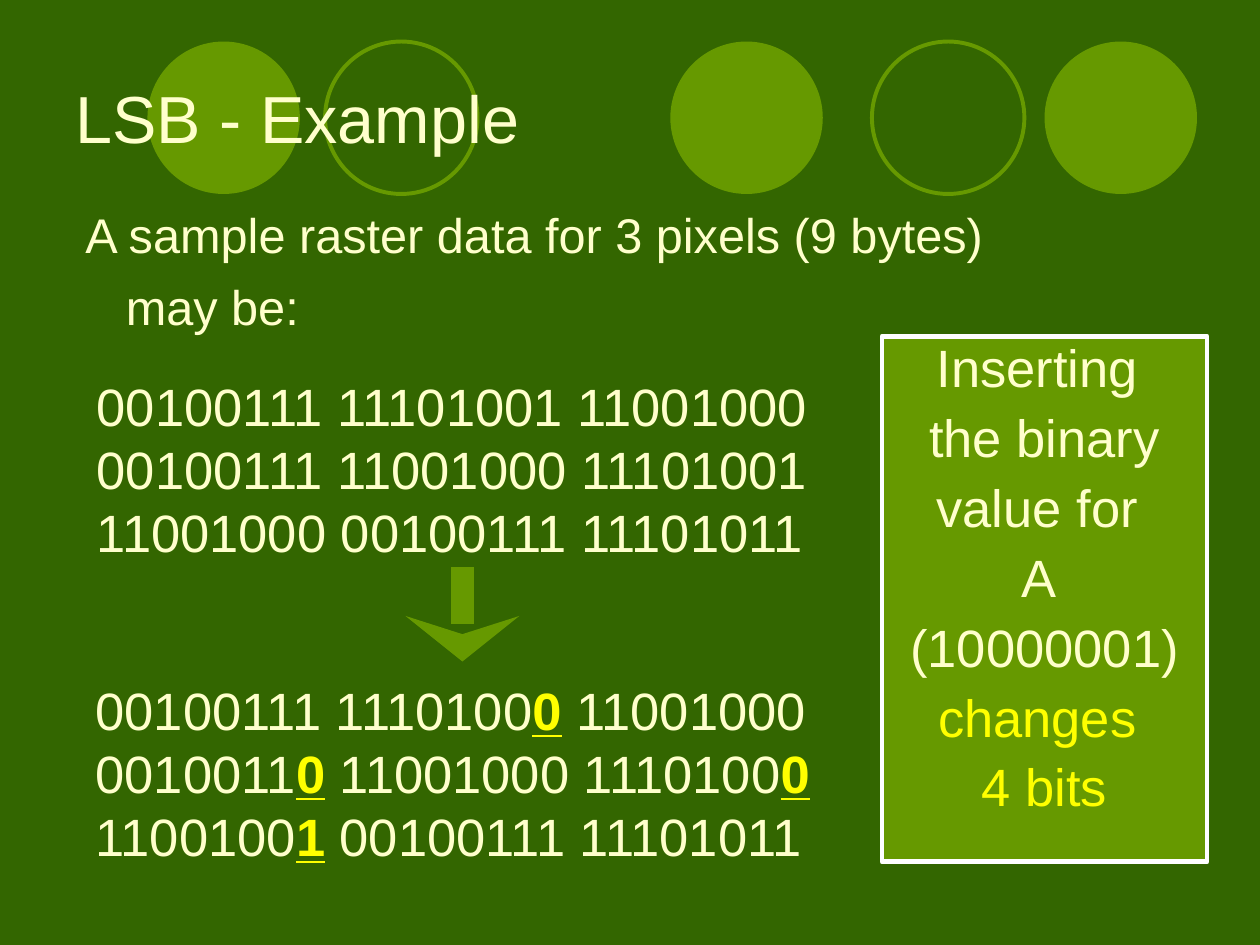
import pptx
import pptx.util
import pptx.dml.color
import pptx.enum.shapes
import pptx.enum.text
import lxml.etree

Inches, Pt = pptx.util.Inches, pptx.util.Pt
SHAPE = pptx.enum.shapes.MSO_SHAPE
ALIGN = pptx.enum.text.PP_ALIGN
ANCHOR = pptx.enum.text.MSO_ANCHOR
DARK, GREEN, CREAM, YELLOW, WHITE = "336600", "669900", "FFFFCC", "FFFF00", "FFFFFF"
A = "{http://schemas.openxmlformats.org/drawingml/2006/main}"


def rgb(value):
    return pptx.dml.color.RGBColor.from_string(value)


def write(shape, lines, size, wrap=True, **para_format):
    """Fill a shape with paragraphs; each line is a list of (text, font settings)."""
    tf = shape.text_frame
    tf.word_wrap = wrap
    for i, line in enumerate(lines):
        p = tf.paragraphs[0] if i == 0 else tf.add_paragraph()
        for name, value in ({"alignment": ALIGN.LEFT} | para_format).items():
            setattr(p, name, value)
        for text, font in line:
            r = p.add_run()
            r.text = text
            settings = {"name": "Arial", "size": Pt(size), "color": CREAM} | font
            r.font.color.rgb = rgb(settings.pop("color"))
            for name, value in settings.items():
                setattr(r.font, name, value)
    return tf


prs = pptx.Presentation()
prs.slide_width, prs.slide_height = Inches(10), Inches(7.5)
s = prs.slides.add_slide(prs.slide_layouts[5])
s.background.fill.solid()
s.background.fill.fore_color.rgb = rgb(DARK)

# Row of circles behind the title
for left, filled in [(5.32, True), (8.29, True), (1.17, True), (6.92, False), (2.58, False)]:
    sp = s.shapes.add_shape(SHAPE.OVAL, Inches(left), Inches(0.33), Inches(1.21), Inches(1.21))
    sp.shadow.inherit = False
    if filled:
        sp.fill.solid()
        sp.fill.fore_color.rgb = rgb(GREEN)
        sp.line.fill.background()
    else:
        sp.fill.background()
        sp.line.color.rgb = rgb(GREEN)
        sp.line.width = Pt(2.25)

# Title, brought in front of the circles
title = s.shapes.title
title.left, title.top, title.width, title.height = map(Inches, (0.5, 0.3, 9, 1.25))
title.element.getparent().append(title.element)
tf = write(title, [[("LSB - Example", {})]], 38)
tf.vertical_anchor = ANCHOR.MIDDLE
tf.auto_size = pptx.enum.text.MSO_AUTO_SIZE.NONE

# Introduction, second line indented
sp = s.shapes.add_textbox(Inches(0.58), Inches(1.58), Inches(8.5), Inches(1.17))
intro = ["A sample raster data for 3 pixels (9 bytes)", "may be:"]
write(sp, [[(text, {})] for text in intro], 27.8, space_before=Pt(7.5))
second_line = list(sp.element.iter(A + "pPr"))[1]
second_line.set("marL", str(int(Inches(0.32))))

# Explanation panel
sp = s.shapes.add_shape(SHAPE.RECTANGLE, Inches(7), Inches(2.67), Inches(2.58), Inches(4.17))
sp.shadow.inherit = False
sp.fill.solid()
sp.fill.fore_color.rgb = rgb(GREEN)
sp.line.color.rgb = rgb(WHITE)
sp.line.width = Pt(2.75)
panel = [[(text, {})] for text in ["Inserting ", "the binary", "value for ", "A ", "(10000001)"]]
panel += [[(text, {"color": YELLOW})] for text in ["changes ", "4 bits"]]
tf = write(sp, panel, 30, alignment=ALIGN.CENTER, line_spacing=0.9, space_before=Pt(7.5))
tf.vertical_anchor = ANCHOR.TOP

# Bytes before and after; changed bits stand between bars
before = ["00100111 11101001 11001000", "00100111 11001000 11101001", "11001000 00100111 11101011"]
after = ["00100111 1110100|0| 11001000", "0010011|0| 11001000 1110100|0|", "1100100|1| 00100111 11101011"]
changed = {"color": YELLOW, "bold": True, "underline": True}
for rows, left, top, wrap in [(before, 0.67, 2.92, True), (after, 0.66, 5.33, False)]:
    sp = s.shapes.add_textbox(Inches(left), Inches(top), Inches(6), Inches(1.6))
    lines = [[(part, changed if i % 2 else {}) for i, part in enumerate(row.split("|")) if part]
             for row in rows]
    write(sp, lines, 30, wrap)

# Arrow from before to after
arrow = s.shapes.add_connector(pptx.enum.shapes.MSO_CONNECTOR.STRAIGHT,
                               Inches(3.67), Inches(4.5), Inches(3.67), Inches(5.25))
arrow.line.color.rgb = rgb(GREEN)
arrow.line.width = Pt(13)
ln = next(arrow.element.iter(A + "ln"))
lxml.etree.SubElement(ln, A + "tailEnd", type="stealth", w="lg", len="sm")
lxml.etree.SubElement(ln.getparent(), A + "effectLst")

prs.save("out.pptx")
